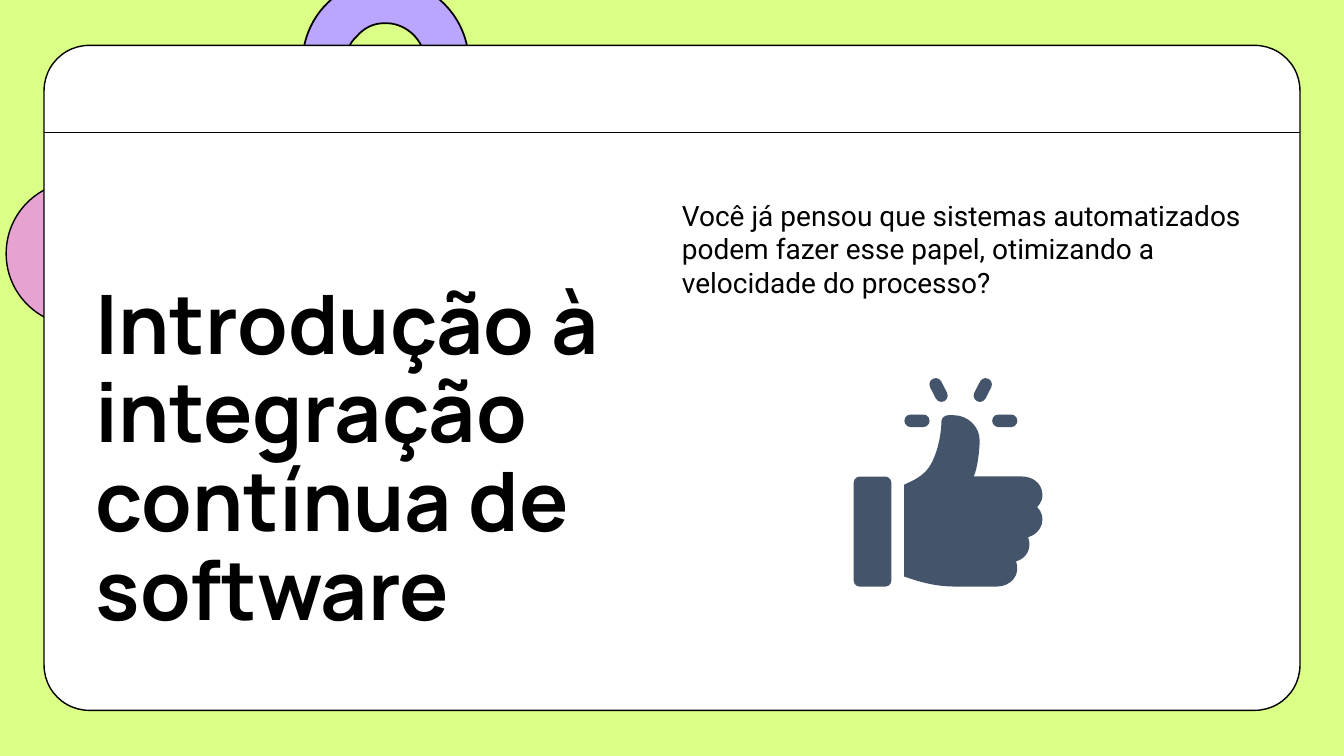
import pptx
import pptx.dml.color
import pptx.enum.shapes
import pptx.enum.text
import pptx.oxml
import pptx.oxml.ns
import pptx.util

Pt = pptx.util.Pt
BLACK = "000000"
SLATE = "44546A"
NAMESPACE = pptx.oxml.ns.nsdecls("a")
RING_START = (247.7, -7.9)
RING_STEPS = [
    [(254.9, -11.5), (263.5, -14.4), (272.9, -15.1)],
    [(305.3, -15.8), (333.4, 9.4), (334.8, 42.5)],
    [(335.5, 50.4), (328.3, 58.3), (319.7, 58.3)],
    [(311, 59), (303.8, 51.8), (303.8, 43.9)],
    [(303.1, 28.1), (289.4, 15.8), (274.3, 16.6)],
    [(266.4, 16.6), (259.9, 20.2), (254.9, 25.9)],
    [(249.1, 31), (247, 38.2), (247, 46.1)],
    [(247.7, 54.7), (241.2, 61.9), (232.6, 62.6)],
    [(223.9, 62.6), (216.7, 56.2), (216, 47.5)],
    [(215.3, 23.8), (227.5, 2.9), RING_START],
]
HALF_DISC_START = (56.2, 129.6)
HALF_DISC_STEPS = [
    [(27.4, 129.6), (4.4, 152.6), (4.4, 181.2)],
    [(4.4, 209.5), (27.4, 232.6), (56.2, 232.6)],
]
HAND_START = (677.5, 296.6)
HAND_STEPS = [
    [(674.6, 296.6), (672.5, 298.8), (672.5, 301)],
    [(672.5, 311), (668.9, 329), (661, 337)],
    [(655.9, 342), (651.6, 343.4), (645.8, 346.3)],
    [(645.8, 411.8)],
    [(654.5, 414.7), (666, 419), (682.6, 419)],
    [(712.1, 419)],
    [(722.2, 419), (729.4, 410.4), (725.8, 401)],
    [(733.7, 398.9), (737.3, 391), (734.4, 383.8)],
    [(744.5, 380.9), (748.1, 369.4), (740.9, 362.2)],
    [(743.8, 359.3), (745.2, 355.7), (744.5, 352.1)],
    [(743.8, 344.9), (737.3, 340.4), (730.1, 340.4)],
    [(695.5, 340.4)],
    [(698.4, 334.8), (699.8, 320.4), (699.8, 314.6)],
    [(699.8, 304.6), (691.2, 296.6), (681.1, 296.6)],
]
RAYS = [(655, 300.6, 0), (670.4, 278.6, 63), (702, 278.6, -63), (717.7, 300.6, 0)]


def color(hex_string):
    """Return the colour for a hex string."""
    return pptx.dml.color.RGBColor.from_string(hex_string)


def style(shape, fill, line_width=0):
    """Give a shape a flat fill and an optional black line."""
    shape.shadow.inherit = False
    shape.fill.solid()
    shape.fill.fore_color.rgb = color(fill)
    if line_width:
        shape.line.color.rgb = color(BLACK)
        shape.line.width = Pt(line_width)
    else:
        shape.line.fill.background()


def bend(shape, steps):
    """Turn each three-point step of an outline into a cubic curve."""
    segments = list(shape.element.iter(pptx.oxml.ns.qn("a:lnTo")))
    for segment, step in zip(segments, steps):
        if len(step) == 3:
            points = "".join(
                f'<a:pt x="{Pt(x) - shape.left}" y="{Pt(y) - shape.top}"/>' for x, y in step
            )
            curve = pptx.oxml.parse_xml(
                f"<a:cubicBezTo {NAMESPACE}>{points}</a:cubicBezTo>"
            )
            segment.getparent().replace(segment, curve)


def add_outline(slide, start, steps, fill, line_width=0):
    """Add a closed outline made of straight and curved steps."""
    builder = slide.shapes.build_freeform(Pt(start[0]), Pt(start[1]))
    ends = [(Pt(step[-1][0]), Pt(step[-1][1])) for step in steps]
    builder.add_line_segments(ends, close=True)
    shape = builder.convert_to_shape()
    bend(shape, steps)
    style(shape, fill, line_width)


def add_rounded(slide, left, top, width, height, rounding, fill, line_width=0):
    """Add a rounded rectangle and return it."""
    shape = slide.shapes.add_shape(
        pptx.enum.shapes.MSO_SHAPE.ROUNDED_RECTANGLE,
        Pt(left), Pt(top), Pt(width), Pt(height),
    )
    shape.adjustments[0] = rounding
    style(shape, fill, line_width)
    return shape


def add_rule(slide, left, right, top):
    """Add a thin horizontal black line."""
    rule = slide.shapes.add_connector(
        pptx.enum.shapes.MSO_CONNECTOR.STRAIGHT, Pt(left), Pt(top), Pt(right), Pt(top)
    )
    rule.line.color.rgb = color(BLACK)
    rule.line.width = Pt(1)
    rule.element.spPr.append(pptx.oxml.parse_xml(f"<a:effectLst {NAMESPACE}/>"))


def write(box, text, size, font_name, bold=False):
    """Write one left-aligned black paragraph into a box."""
    frame = box.text_frame
    frame.word_wrap = True
    frame.text = text
    para = frame.paragraphs[0]
    para.alignment = pptx.enum.text.PP_ALIGN.LEFT
    para.font.size = Pt(size)
    para.font.name = font_name
    para.font.bold = bold
    para.font.color.rgb = color(BLACK)
    return para


def add_title(slide, text):
    """Fill the title placeholder and bring it to the front."""
    title = slide.shapes.title
    title.element.getparent().append(title.element)
    title.left, title.top, title.width, title.height = Pt(61.2), Pt(319.7), Pt(501), Pt(139.7)
    para = write(title, text, 58.67, "Manrope", bold=True)
    para.line_spacing = 0.9
    title.text_frame.auto_size = pptx.enum.text.MSO_AUTO_SIZE.NONE
    title.text_frame.vertical_anchor = pptx.enum.text.MSO_ANCHOR.BOTTOM


def add_question(slide, text):
    """Add the question in a text box that grows with its text."""
    box = slide.shapes.add_textbox(Pt(480), Pt(138), Pt(429), Pt(80))
    write(box, text, 20, "Roboto")
    box.text_frame.auto_size = pptx.enum.text.MSO_AUTO_SIZE.SHAPE_TO_FIT_TEXT


def add_thumb(slide):
    """Draw the raised thumb with its cuff and rays."""
    length, thickness = 18, 9
    for center_x, center_y, angle in RAYS:
        ray = add_rounded(
            slide, center_x - length / 2, center_y - thickness / 2,
            length, thickness, 0.5, SLATE,
        )
        ray.rotation = angle
    add_rounded(slide, 609.8, 340.4, 26.9, 78.6, 0.16, SLATE)
    add_outline(slide, HAND_START, HAND_STEPS, SLATE)


def main():
    """Build the slide and save the deck."""
    deck = pptx.Presentation()
    deck.slide_width, deck.slide_height = Pt(960), Pt(540)
    slide = deck.slides.add_slide(deck.slide_layouts[5])
    slide.background.fill.solid()
    slide.background.fill.fore_color.rgb = color("DBFE87")
    add_outline(slide, RING_START, RING_STEPS, "BAA5FF", 1.25)
    add_outline(slide, HALF_DISC_START, HALF_DISC_STEPS, "E6A2D0", 1)
    add_rounded(slide, 31.5, 32.4, 897.1, 475, 0.068, "FFFFFF", 1)
    add_rule(slide, 31.5, 928.6, 94.5)
    add_title(slide, "Introdução à integração contínua de software")
    add_question(
        slide,
        "Você já pensou que sistemas automatizados podem fazer esse papel, "
        "otimizando a velocidade do processo?",
    )
    add_thumb(slide)
    deck.save("out.pptx")


if __name__ == "__main__":
    main()
